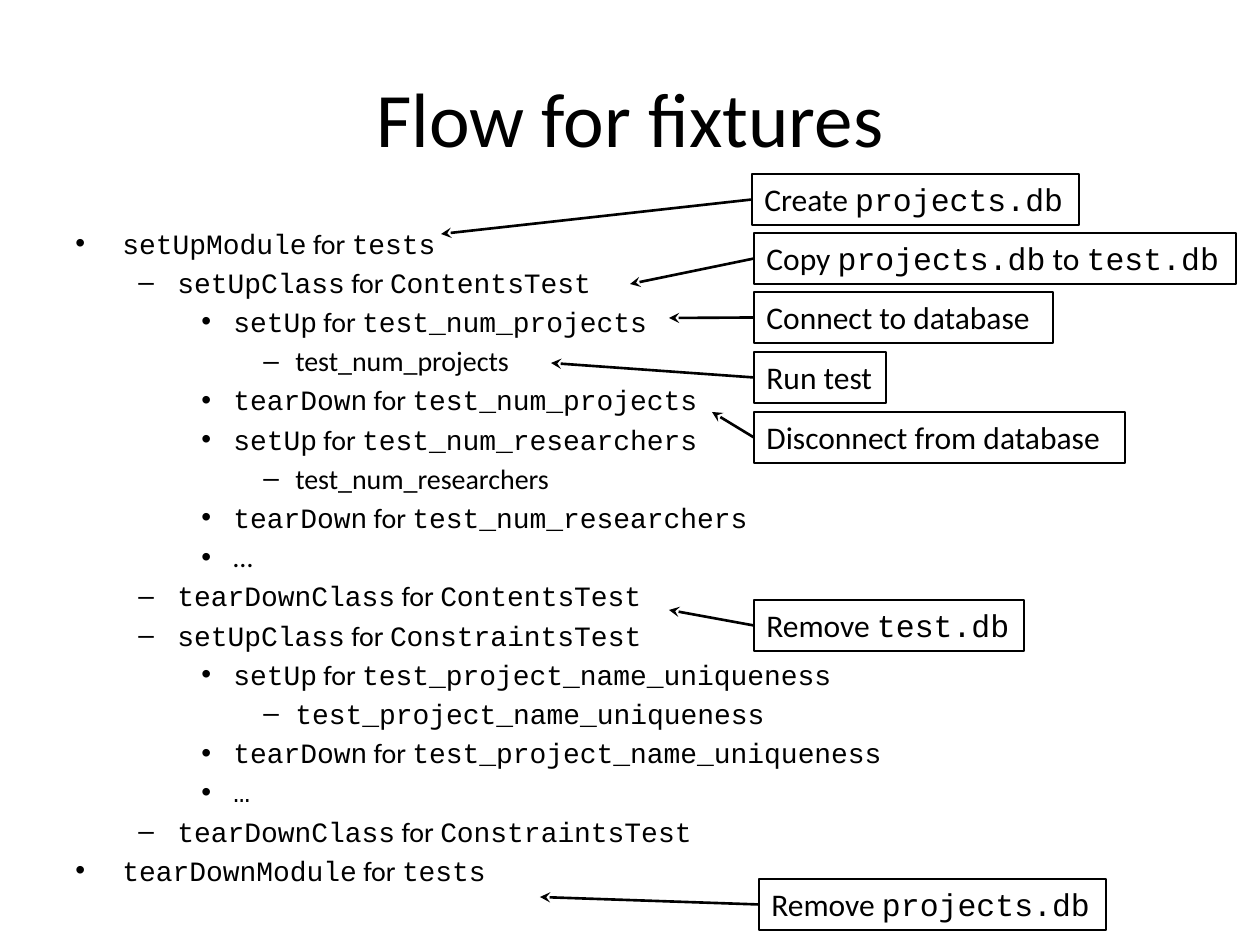
from typing import NamedTuple

import lxml.etree
import pptx
import pptx.dml.color
import pptx.enum.shapes
import pptx.enum.text
import pptx.oxml.ns
import pptx.util

BLACK = pptx.dml.color.RGBColor(0x00, 0x00, 0x00)
WHITE = pptx.dml.color.RGBColor(0xFF, 0xFF, 0xFF)
TEXT_FONT = "Calibri"
CODE_FONT = "Courier New"
PX_PER_INCH = 126
CALLOUT_HEIGHT = 51


class Level(NamedTuple):
    bullet: str
    margin: int
    hanging: int


class Step(NamedTuple):
    level: int
    text: str


class Callout(NamedTuple):
    left: int
    top: int
    width: int
    text: str
    target_x: int
    target_y: int


LEVELS = [
    Level("•", 47, 47),
    Level("–", 102, 39),
    Level("•", 158, 32),
    Level("–", 220, 32),
]

# Text between backticks is set in the code font
STEPS = [
    Step(0, "`setUpModule` for `tests`"),
    Step(1, "`setUpClass` for `ContentsTest`"),
    Step(2, "`setUp` for `test_num_projects`"),
    Step(3, "test_num_projects"),
    Step(2, "`tearDown` for `test_num_projects`"),
    Step(2, "`setUp` for `test_num_researchers`"),
    Step(3, "test_num_researchers"),
    Step(2, "`tearDown` for `test_num_researchers`"),
    Step(2, "…"),
    Step(1, "`tearDownClass` for `ContentsTest`"),
    Step(1, "`setUpClass` for `ConstraintsTest`"),
    Step(2, "`setUp` for `test_project_name_uniqueness`"),
    Step(3, "`test_project_name_uniqueness`"),
    Step(2, "`tearDown` for `test_project_name_uniqueness`"),
    Step(2, "`…`"),
    Step(1, "`tearDownClass` for `ConstraintsTest`"),
    Step(0, "`tearDownModule` for `tests`"),
]

CALLOUTS = [
    Callout(752, 174, 327, "Create `projects.db`", 441, 234),
    Callout(759, 879, 347, "Remove `projects.db`", 540, 897),
    Callout(754, 233, 482, "Copy `projects.db` to `test.db`", 630, 284),
    Callout(754, 292, 299, "Connect to database", 669, 318),
    Callout(754, 352, 132, "Run test", 551, 363),
    Callout(754, 412, 371, "Disconnect from database", 712, 412),
    Callout(754, 600, 270, "Remove `test.db`", 669, 610),
]


def px(length: int) -> pptx.util.Emu:
    return pptx.util.Emu(round(length * 914400 / PX_PER_INCH))


def add_element(parent, tag: str, **attributes: str):
    return lxml.etree.SubElement(parent, pptx.oxml.ns.qn(tag), attributes)


def write_spans(para, text: str, size: int) -> None:
    """Write text, switching to the code font between backticks."""
    for index, part in enumerate(text.split("`")):
        if part:
            span = para.add_run()
            span.text = part
            span.font.name = CODE_FONT if index % 2 else TEXT_FONT
            span.font.size = pptx.util.Pt(size)
            span.font.color.rgb = BLACK


def format_step(para, level: Level, first: bool) -> None:
    properties = para._p.get_or_add_pPr()
    properties.set("marL", str(px(level.margin)))
    properties.set("indent", str(-px(level.hanging)))
    if not first:
        space = add_element(properties, "a:spcBef")
        add_element(space, "a:spcPct", val="20000")
    add_element(properties, "a:buFont", typeface="Arial")
    add_element(properties, "a:buChar", char=level.bullet)


def add_outline(page, steps: list[Step]) -> None:
    box = page.shapes.add_textbox(px(63), px(220), px(1134), px(624))
    frame = box.text_frame
    frame.word_wrap = True
    for index, step in enumerate(steps):
        para = frame.add_paragraph() if index else frame.paragraphs[0]
        para.level = step.level
        format_step(para, LEVELS[step.level], first=index == 0)
        write_spans(para, step.text, 16)


def add_callout(page, callout: Callout) -> None:
    # Framed label
    box = page.shapes.add_textbox(
        px(callout.left), px(callout.top), px(callout.width), px(CALLOUT_HEIGHT)
    )
    box.fill.solid()
    box.fill.fore_color.rgb = WHITE
    box.line.color.rgb = BLACK
    box.line.width = pptx.util.Pt(0.75)
    frame = box.text_frame
    frame.word_wrap = False
    frame.auto_size = pptx.enum.text.MSO_AUTO_SIZE.SHAPE_TO_FIT_TEXT
    write_spans(frame.paragraphs[0], callout.text, 18)

    # Arrow from the label's left side to its step
    arrow = page.shapes.add_connector(
        pptx.enum.shapes.MSO_CONNECTOR.STRAIGHT,
        px(callout.left), px(callout.top + CALLOUT_HEIGHT // 2),
        px(callout.target_x), px(callout.target_y),
    )
    arrow.begin_connect(box, 1)
    arrow.line.color.rgb = BLACK
    arrow.line.width = pptx.util.Pt(1.5)
    add_element(arrow.line._get_or_add_ln(), "a:tailEnd", type="stealth")
    add_element(arrow._element.spPr, "a:effectLst")


def main() -> None:
    deck = pptx.Presentation()
    deck.slide_width, deck.slide_height = px(1260), px(945)
    page = deck.slides.add_slide(deck.slide_layouts.get_by_name("Title Only"))

    # Title
    title = page.shapes.title
    title.left, title.top, title.width, title.height = px(63), px(38), px(1134), px(158)
    title.text_frame.text = "Flow for fixtures"
    title.text_frame.vertical_anchor = pptx.enum.text.MSO_ANCHOR.MIDDLE
    heading = title.text_frame.paragraphs[0]
    heading.alignment = pptx.enum.text.PP_ALIGN.CENTER
    heading.font.name = TEXT_FONT
    heading.font.size = pptx.util.Pt(44)
    heading.font.color.rgb = BLACK

    # Call order and the notes beside it
    add_outline(page, STEPS)
    for callout in CALLOUTS:
        add_callout(page, callout)

    deck.save("out.pptx")


if __name__ == "__main__":
    main()
